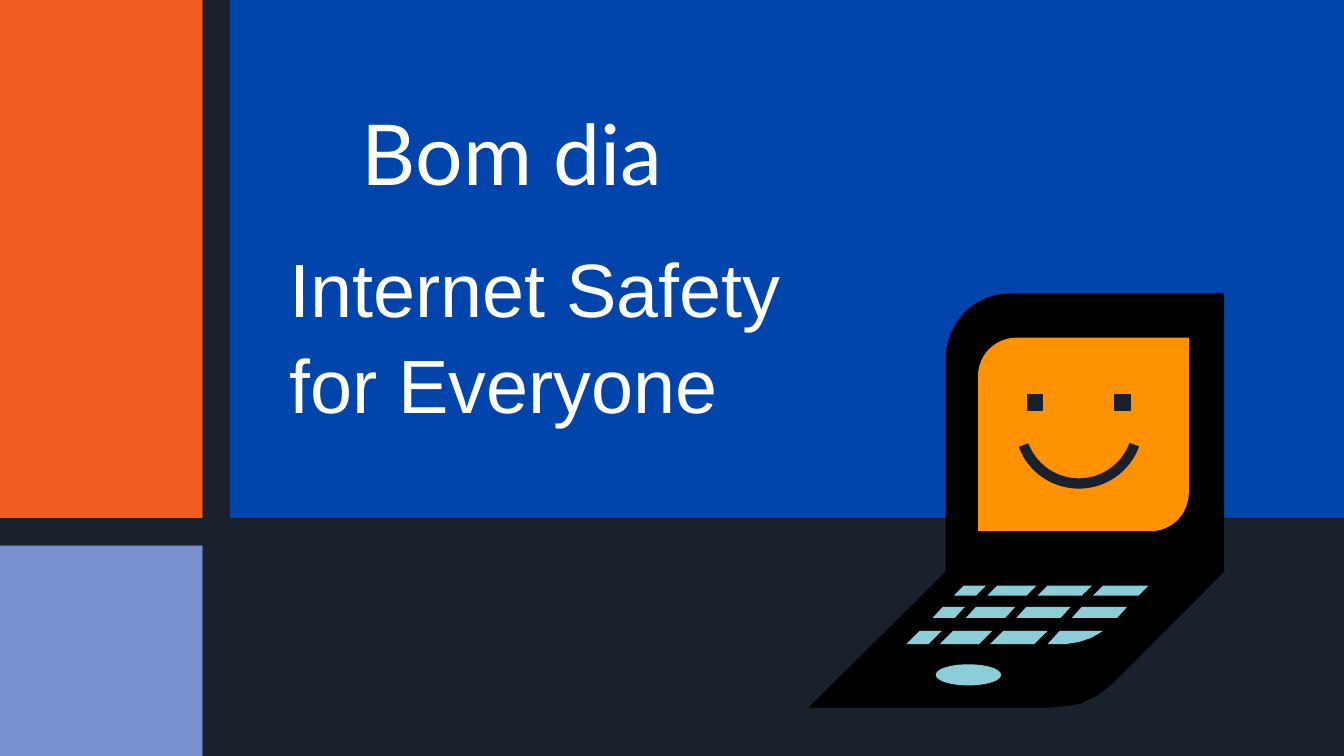
import math
from dataclasses import dataclass

import pptx
import pptx.dml.color
import pptx.enum.shapes
import pptx.enum.text
import pptx.util

Point = tuple[float, float]
Shape = pptx.enum.shapes.MSO_SHAPE

NAVY, BLACK, WHITE = "1B212C", "000000", "FFFFFF"
KEY_COLOR, SCREEN_COLOR = "8CCED7", "FF9201"
COLUMNS = (0, 2.01, 2.28, 13.33)
ROWS = (0, 5.14, 5.41, 7.5)
UNITS_PER_INCH = 1000
KEY_WIDTHS = (0.22, 0.39, 0.44, 0.45)
KEY_GAP = 0.11


@dataclass
class Panel:
    columns: tuple[int, int]
    rows: tuple[int, int]
    color: str


@dataclass
class KeyRow:
    left: float
    top: float
    height: float
    slant: float
    keys: int


@dataclass
class Label:
    lines: tuple[str, ...]
    font: str
    size: float
    insets: Point
    anchor: pptx.enum.text.MSO_ANCHOR
    spacing: float


PANELS = (
    Panel((2, 3), (0, 1), "0145AC"),
    Panel((0, 1), (0, 1), "F15E22"),
    Panel((0, 1), (2, 3), "7890CD"),
    Panel((0, 3), (1, 2), NAVY),
    Panel((1, 2), (0, 3), NAVY),
)
KEY_ROWS = (
    KeyRow(9.56, 5.81, 0.1, 0.1, 4),
    KeyRow(9.35, 6.02, 0.11, 0.1, 4),
    KeyRow(9.12, 6.26, 0.13, 0.13, 3),
)
TITLE = Label(("Internet Safety", "for Everyone"), "Arial", 54, (0.3, 0.15),
              pptx.enum.text.MSO_ANCHOR.BOTTOM, 1.05)
GREETING = Label(("Bom dia",), "Lato", 60, (0.1, 0.1),
                 pptx.enum.text.MSO_ANCHOR.TOP, 1.0)


def rgb(color: str) -> pptx.dml.color.RGBColor:
    return pptx.dml.color.RGBColor.from_string(color)


def paint(shape, color: str, outlined: bool = False) -> None:
    shape.shadow.inherit = False
    shape.fill.solid()
    shape.fill.fore_color.rgb = rgb(color)
    if outlined:
        shape.line.color.rgb = rgb(color)
        shape.line.width = pptx.util.Pt(1)
    else:
        shape.line.fill.background()


def draw_preset(shapes, kind, left: float, top: float, width: float,
                height: float, color: str, outlined: bool = False):
    frame = map(pptx.util.Inches, (left, top, width, height))
    shape = shapes.add_shape(kind, *frame)
    paint(shape, color, outlined)
    return shape


def draw_outline(shapes, points: list[Point], color: str) -> None:
    scaled = [(x * UNITS_PER_INCH, y * UNITS_PER_INCH) for x, y in points]
    builder = shapes.build_freeform(*scaled[0], scale=914400 / UNITS_PER_INCH)
    builder.add_line_segments(scaled[1:], close=True)
    paint(builder.convert_to_shape(), color)


def quarter_arc(center: Point, radius: float, start: float, sweep: float) -> list[Point]:
    angles = [math.radians(start + sweep * step / 12) for step in range(13)]
    return [(center[0] + radius * math.cos(angle), center[1] + radius * math.sin(angle))
            for angle in angles]


def draw_panels(shapes) -> None:
    for panel in PANELS:
        left, right = (COLUMNS[edge] for edge in panel.columns)
        top, bottom = (ROWS[edge] for edge in panel.rows)
        draw_preset(shapes, Shape.RECTANGLE, left, top, right - left, bottom - top, panel.color)


def draw_keyboard(shapes) -> None:
    for row in KEY_ROWS:
        left, bottom = row.left, row.top + row.height
        for width in KEY_WIDTHS[:row.keys]:
            right = left + width
            draw_outline(shapes, [(left, row.top), (right, row.top),
                                  (right - row.slant, bottom),
                                  (left - row.slant, bottom)], KEY_COLOR)
            left = right + KEY_GAP
    draw_outline(shapes, [(10.51, 6.26), (10.39, 6.39), (10.48, 6.39), (10.57, 6.39),
                          (10.7, 6.37), (10.82, 6.33), (10.94, 6.26)], KEY_COLOR)
    draw_preset(shapes, Shape.OVAL, 9.28, 6.59, 0.65, 0.21, KEY_COLOR)


def draw_face(shapes) -> None:
    upper_left = quarter_arc((10.08, 3.73), 0.38, 270, -90)
    lower_right = quarter_arc((11.41, 4.89), 0.38, 90, -90)
    draw_outline(shapes, [(11.79, 3.35), *upper_left, (9.7, 5.27), *lower_right], SCREEN_COLOR)
    for eye_left in (11.06, 10.19):
        draw_preset(shapes, Shape.RECTANGLE, eye_left, 3.92, 0.15, 0.15, NAVY, True)
    smile = draw_preset(shapes, Shape.BLOCK_ARC, 10.07, 3.58, 1.26, 1.26, NAVY, True)
    smile.rotation = 180
    for index, value in enumerate((120.41, 203.3, 0.07)):
        smile.adjustments[index] = value


def draw_laptop(page) -> None:
    shapes = page.shapes.add_group_shape().shapes
    lid_corner = quarter_arc((10.02, 3.55), 0.64, 270, -90)
    base_corner = [(10.29, 7.02), (10.41, 7.02), (10.53, 7.01), (10.62, 7.0), (10.72, 6.98),
                   (10.8, 6.94), (10.89, 6.9), (10.96, 6.84), (11.05, 6.77)]
    draw_outline(shapes, [(12.14, 2.91), *lid_corner, (9.38, 5.67), (8.02, 7.02),
                          *base_corner, (12.14, 5.67)], BLACK)
    draw_keyboard(shapes)
    draw_face(shapes)


def write_label(box, label: Label, left: float, top: float, width: float, height: float) -> None:
    box.left, box.top, box.width, box.height = map(pptx.util.Inches, (left, top, width, height))
    frame = box.text_frame
    frame.word_wrap = True
    frame.auto_size = pptx.enum.text.MSO_AUTO_SIZE.NONE
    frame.vertical_anchor = label.anchor
    frame.margin_left = frame.margin_right = pptx.util.Inches(label.insets[0])
    frame.margin_top = frame.margin_bottom = pptx.util.Inches(label.insets[1])
    para = frame.paragraphs[0]
    para.alignment = pptx.enum.text.PP_ALIGN.LEFT
    para.line_spacing = label.spacing
    for index, line in enumerate(label.lines):
        if index:
            para.add_line_break()
        span = para.add_run()
        span.text = line
        span.font.name = label.font
        span.font.size = pptx.util.Pt(label.size)
        span.font.color.rgb = rgb(WHITE)


def main() -> None:
    deck = pptx.Presentation()
    deck.slide_width = pptx.util.Inches(COLUMNS[-1])
    deck.slide_height = pptx.util.Inches(ROWS[-1])
    page = deck.slides.add_slide(deck.slide_layouts[5])
    page.background.fill.solid()
    page.background.fill.fore_color.rgb = rgb(NAVY)
    draw_panels(page.shapes)
    draw_laptop(page)
    title = page.shapes.title
    title.element.getparent().append(title.element)
    write_label(title, TITLE, 2.57, 2.33, 5.68, 2.07)
    greeting = page.shapes.add_textbox(0, 0, 0, 0)
    write_label(greeting, GREETING, 3.49, 0.91, 3.39, 0.86)
    deck.save("out.pptx")


if __name__ == "__main__":
    main()
